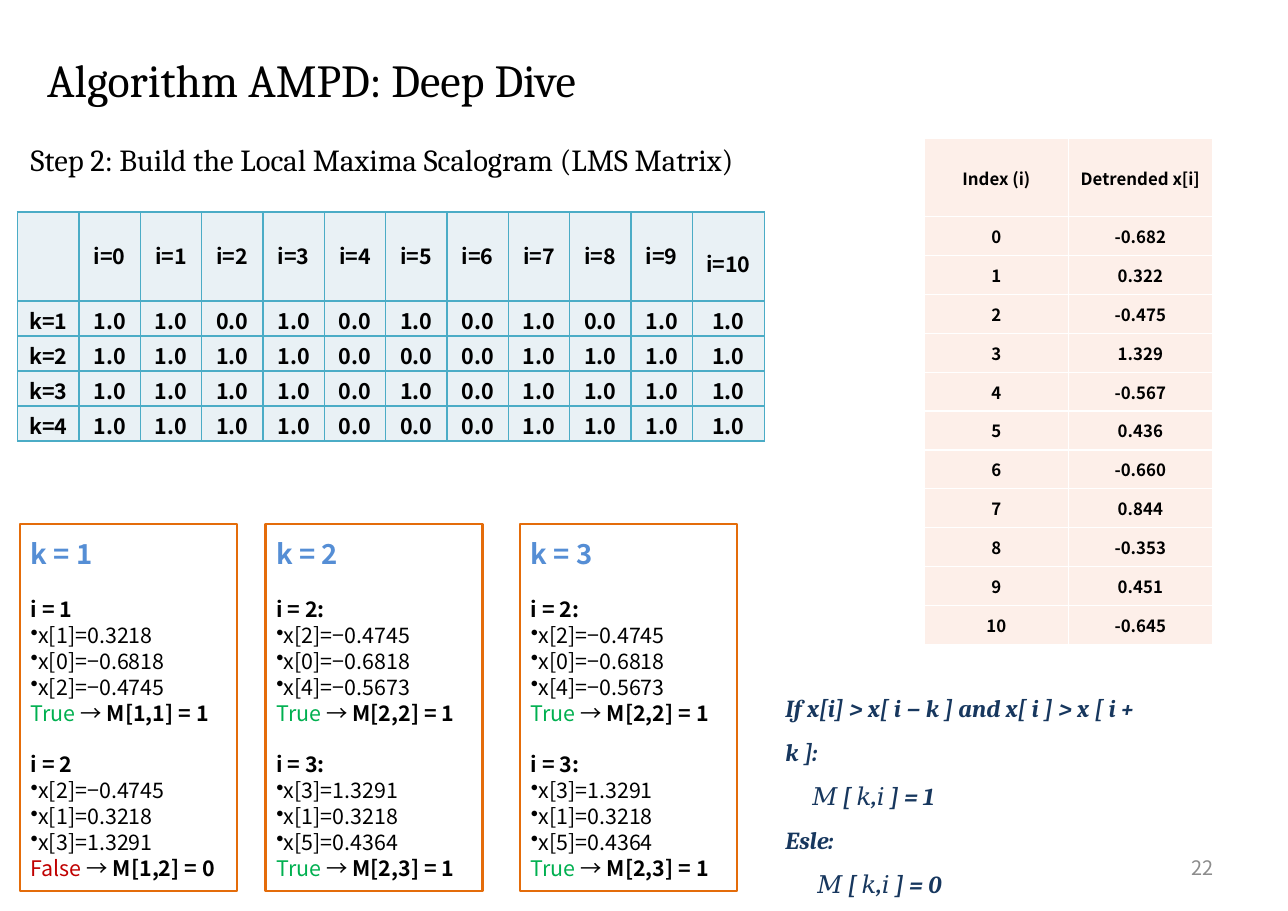
from lxml import etree
from pptx import Presentation
from pptx.dml.color import RGBColor
from pptx.enum.shapes import MSO_SHAPE
from pptx.enum.text import MSO_ANCHOR, PP_ALIGN
from pptx.oxml.ns import qn
from pptx.util import Pt

RECTANGLE = MSO_SHAPE.RECTANGLE
TOP, MIDDLE = MSO_ANCHOR.TOP, MSO_ANCHOR.MIDDLE
LEFT, CENTER, RIGHT = PP_ALIGN.LEFT, PP_ALIGN.CENTER, PP_ALIGN.RIGHT

SERIF, SANS = "Cambria", "Noto Sans CJK KR"
BLACK, GRAY, NAVY, BLUE = "000000", "8C8C8C", "17375E", "558ED5"
GREEN, RED, ORANGE, TEAL = "00B050", "C00000", "E46C0A", "4BACC6"
PALE_BLUE, PALE_ORANGE, WHITE = "E9F1F5", "FDEFE9", "FFFFFF"
LINE = 16.9

LMS_ROWS = {
    "k=1": "1.0 1.0 0.0 1.0 0.0 1.0 0.0 1.0 0.0 1.0 1.0",
    "k=2": "1.0 1.0 1.0 1.0 0.0 0.0 0.0 1.0 1.0 1.0 1.0",
    "k=3": "1.0 1.0 1.0 1.0 0.0 1.0 0.0 1.0 1.0 1.0 1.0",
    "k=4": "1.0 1.0 1.0 1.0 0.0 0.0 0.0 1.0 1.0 1.0 1.0",
}
DETRENDED = ["-0.682", "0.322", "-0.475", "1.329", "-0.567", "0.436",
             "-0.660", "0.844", "-0.353", "0.451", "-0.645"]

# Each check: heading, the three values compared, verdict, matrix entry
LATER_CHECKS = [
    ("i = 2:", ["x[2]=−0.4745", "x[0]=−0.6818", "x[4]=−0.5673"], "True", "M[2,2] = 1"),
    ("i = 3:", ["x[3]=1.3291", "x[1]=0.3218", "x[5]=0.4364"], "True", "M[2,3] = 1"),
]
EXAMPLES = [
    (13, "k = 1", [
        ("i = 1", ["x[1]=0.3218", "x[0]=−0.6818", "x[2]=−0.4745"], "True", "M[1,1] = 1"),
        ("i = 2", ["x[2]=−0.4745", "x[1]=0.3218", "x[3]=1.3291"], "False", "M[1,2] = 0"),
    ]),
    (173.5, "k = 2", LATER_CHECKS),
    (339.8, "k = 3", LATER_CHECKS),
]


def rgb(color):
    return RGBColor.from_string(color)


class SlideBuilder:
    def __init__(self, slide):
        self.slide = slide

    def run(self, paragraph, text, size, color=BLACK, font=SANS, bold=False, italic=False):
        run = paragraph.add_run()
        run.text = text
        run.font.name, run.font.size = font, Pt(size)
        run.font.bold, run.font.italic = bold, italic
        run.font.color.rgb = rgb(color)

    def paragraph(self, frame, first=False, spacing=1.0, before=0, align=LEFT):
        paragraph = frame.paragraphs[0] if first else frame.add_paragraph()
        paragraph.line_spacing = spacing
        paragraph.space_before = Pt(before)
        paragraph.alignment = align
        return paragraph

    def text_box(self, left, top, width, height, anchor=TOP):
        box = self.slide.shapes.add_textbox(Pt(left), Pt(top), Pt(width), Pt(height))
        box.text_frame.word_wrap = True
        box.text_frame.vertical_anchor = anchor
        return box.text_frame

    def label(self, place, text, size, color=BLACK, font=SERIF, spacing=1.0,
              align=LEFT, anchor=TOP):
        frame = self.text_box(*place, anchor)
        self.run(self.paragraph(frame, True, spacing, align=align), text, size, color, font)

    def example(self, left, title, checks):
        """Outlined box working through the comparisons for one scale k."""
        box = self.slide.shapes.add_shape(RECTANGLE, Pt(left), Pt(342.7), Pt(141.8), Pt(239.8))
        box.shadow.inherit = False
        box.fill.background()
        box.line.color.rgb = rgb(ORANGE)
        box.line.width = Pt(1.5)
        frame = box.text_frame
        frame.word_wrap = True
        frame.vertical_anchor = TOP
        frame.margin_left = frame.margin_right = Pt(7.2)
        frame.margin_top = frame.margin_bottom = Pt(7.2)
        self.run(self.paragraph(frame, True, Pt(22.9)), title, 18, BLUE, bold=True)
        for heading, values, verdict, entry in checks:
            self.run(self.paragraph(frame, spacing=Pt(LINE), before=LINE),
                     heading, 14, bold=True)
            for value in values:
                line = self.paragraph(frame, spacing=Pt(LINE))
                properties = line._p.get_or_add_pPr()
                properties.set("marL", "0")
                properties.set("indent", "0")
                etree.SubElement(properties, qn("a:buChar"), char="•")
                self.run(line, value, 14)
            line.add_line_break()
            self.run(line, verdict, 14, GREEN if verdict == "True" else RED)
            self.run(line, " → ", 14)
            self.run(line, entry, 14, bold=True)

    def cell(self, cell, text, size, fill, border, spacing, margins):
        cell.margin_left = cell.margin_right = Pt(5.76)
        cell.margin_top, cell.margin_bottom = map(Pt, margins)
        cell.vertical_anchor = MIDDLE
        properties = cell._tc.get_or_add_tcPr()
        for side in ("lnL", "lnR", "lnT", "lnB"):
            edge = etree.SubElement(properties, qn(f"a:{side}"), w=str(Pt(1)))
            solid = etree.SubElement(edge, qn("a:solidFill"))
            etree.SubElement(solid, qn("a:srgbClr"), val=border)
        cell.fill.solid()
        cell.fill.fore_color.rgb = rgb(fill)
        if text:
            paragraph = self.paragraph(cell.text_frame, True, spacing, align=CENTER)
            self.run(paragraph, text, size, bold=True)

    def table(self, left, top, widths, heights, rows, size, fill, border,
              spacing=1.0, margins=lambda row, column: (2.88, 2.88)):
        table = self.slide.shapes.add_table(
            len(rows), len(widths), Pt(left), Pt(top), Pt(sum(widths)), Pt(sum(heights))).table
        for column, width in zip(table.columns, widths):
            column.width = Pt(width)
        for r, (height, texts) in enumerate(zip(heights, rows)):
            table.rows[r].height = Pt(height)
            for c, text in enumerate(texts):
                self.cell(table.cell(r, c), text, size, fill, border, spacing, margins(r, c))

    def rule(self, left, top, width, height, lines):
        frame = self.text_box(left, top, width, height)
        for number, (indent, text) in enumerate(lines):
            line = self.paragraph(frame, number == 0, 1.5)
            line._p.get_or_add_pPr().set("marL", str(Pt(indent)))
            self.run(line, text, 16, NAVY, SERIF, bold=True, italic=True)


def lms_margins(row, column):
    if row:
        return 5.75, 0
    return (12.4, 0) if column == 11 else (2, 0)


def main():
    deck = Presentation()
    deck.slide_width, deck.slide_height = Pt(841.68), Pt(595.44)
    page = SlideBuilder(deck.slides.add_slide(deck.slide_layouts[6]))

    page.label((23.8, 12.2, 656, 56.2), "Algorithm AMPD: Deep Dive", 30, spacing=1.5)
    page.label((603.4, 551.5, 196.6, 31.7), "22", 13, GRAY, SANS, align=RIGHT, anchor=MIDDLE)
    page.label((13, 88.6, 623.5, 31.7),
               "Step 2: Build the Local Maxima Scalogram (LMS Matrix)", 20)

    lms = [[""] + [f"i={i}" for i in range(11)]]
    lms += [[k] + values.split() for k, values in LMS_ROWS.items()]
    page.table(11.5, 138.6, [40.1] * 11 + [47], [58.2] + [22.9] * 4, lms, 14,
               PALE_BLUE, TEAL, Pt(17), lms_margins)

    signal = [["Index (i)", "Detrended x[i]"]]
    signal += [[str(i), value] for i, value in enumerate(DETRENDED)]
    page.table(604.1, 90.7, [94.1] * 2, [51] + [25.4] * 11, signal, 11, PALE_ORANGE, WHITE)

    for left, title, checks in EXAMPLES:
        page.example(left, title, checks)

    page.rule(506.2, 439.9, 259, 143.3, [
        (0, "If x[i] > x[ i − k ] and x[ i ] > x [ i + k ]:"),
        (17.6, "𝑀 [ 𝑘,𝑖 ] = 1"),
        (0, "Esle:"),
        (20.9, "𝑀 [ 𝑘,𝑖 ] = 0"),
    ])
    deck.save("out.pptx")


if __name__ == "__main__":
    main()
